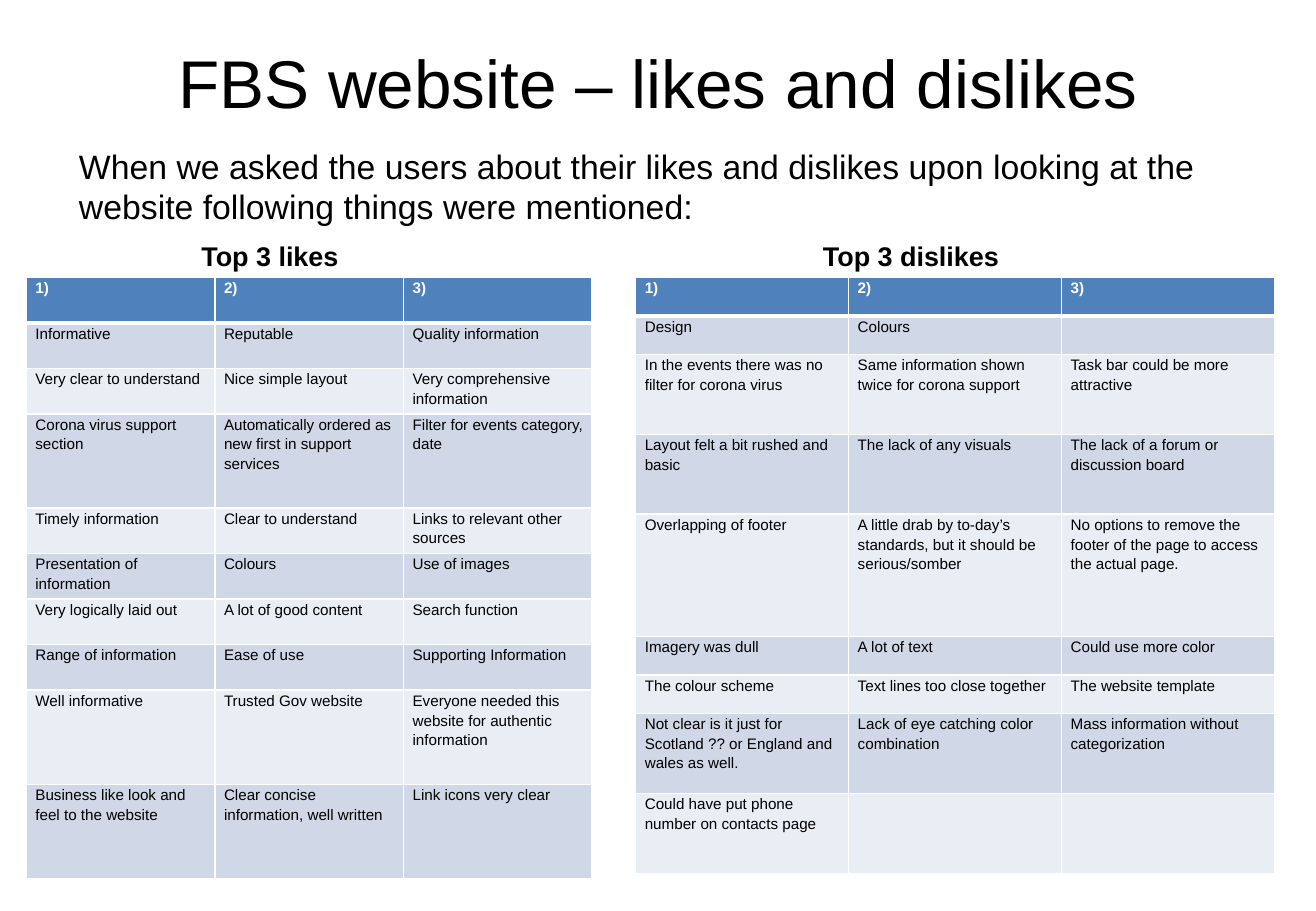
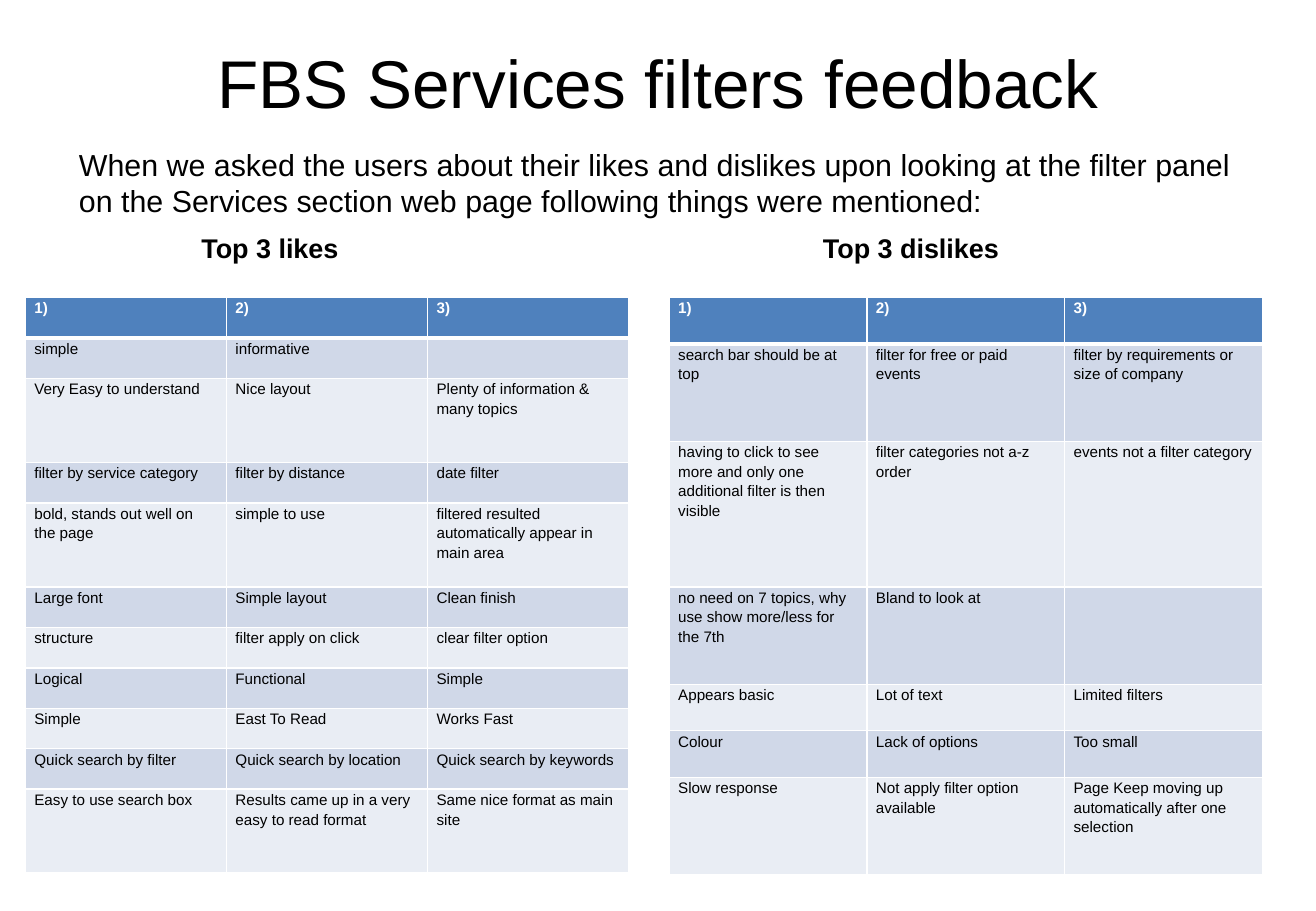
from dataclasses import dataclass

from lxml.etree import SubElement
from pptx import Presentation
from pptx.dml.color import RGBColor
from pptx.enum.text import MSO_ANCHOR, PP_ALIGN
from pptx.oxml.ns import qn
from pptx.slide import Slide
from pptx.table import _Cell
from pptx.text.text import TextFrame, _Paragraph
from pptx.util import Emu, Pt

PX = 7620


@dataclass(frozen=True)
class Theme:
    font: str = "Arial"
    ink: str = "000000"
    paper: str = "FFFFFF"
    header: str = "4F81BD"
    bands: tuple[str, str] = ("D0D8E8", "E9EDF4")
    title_size: int = 40
    heading_size: int = 16
    cell_size: int = 9
    cell_spacing: float = 1.15
    border: int = 1
    header_border: int = 3


@dataclass(frozen=True)
class Opinions:
    left: int
    top: int
    width: int
    heights: list[int]
    rows: list[tuple[str, str, str]]


@dataclass(frozen=True)
class Feedback:
    title: str
    intro: str
    intro_size: int
    heading_top: int
    likes: Opinions
    dislikes: Opinions


THEME = Theme()
HEADER_ROW = ("1)", "2)", "3)")
HEADINGS = (("Top 3 likes", 199), ("Top 3 dislikes", 813))


def px(length: int) -> Emu:
    return Emu(length * PX)


def add_run(paragraph: _Paragraph, text: str, size: int, color: str = THEME.ink, bold: bool = False) -> None:
    run = paragraph.add_run()
    run.text = text
    run.font.name = THEME.font
    run.font.size = Pt(size)
    run.font.bold = bold
    run.font.color.rgb = RGBColor.from_string(color)


def add_text_area(
    slide: Slide, left: int, top: int, width: int, height: int, inset_x: int = 0, inset_y: int = 0
) -> TextFrame:
    frame = slide.shapes.add_textbox(px(left), px(top), px(width), px(height)).text_frame
    frame.word_wrap = True
    frame.vertical_anchor = MSO_ANCHOR.TOP
    frame.margin_left = frame.margin_right = px(inset_x)
    frame.margin_top = frame.margin_bottom = px(inset_y)
    return frame


def add_border(cell: _Cell, position: int, side: str, points: int) -> None:
    properties = cell._tc.get_or_add_tcPr()
    line = SubElement(properties, qn(f"a:ln{side}"), w=str(Pt(points)))
    fill = SubElement(line, qn("a:solidFill"))
    SubElement(fill, qn("a:srgbClr"), val=THEME.paper)
    properties.insert(position, line)


def fill_cell(cell: _Cell, text: str, row: int) -> None:
    is_header = row == 0
    cell.margin_left = cell.margin_right = px(9)
    cell.margin_top = cell.margin_bottom = 0
    cell.fill.solid()
    cell.fill.fore_color.rgb = RGBColor.from_string(
        THEME.header if is_header else THEME.bands[(row - 1) % 2]
    )
    for position, side in enumerate("LRTB"):
        thick = (is_header and side == "B") or (row == 1 and side == "T")
        add_border(cell, position, side, THEME.header_border if thick else THEME.border)
    if text:
        paragraph = cell.text_frame.paragraphs[0]
        paragraph.line_spacing = THEME.cell_spacing
        add_run(paragraph, text, THEME.cell_size, THEME.paper if is_header else THEME.ink, is_header)


def add_opinions(slide: Slide, opinions: Opinions) -> None:
    rows = [HEADER_ROW, *opinions.rows]
    table = slide.shapes.add_table(
        len(rows), len(HEADER_ROW), px(opinions.left), px(opinions.top),
        px(opinions.width), px(sum(opinions.heights)),
    ).table
    for column in table.columns:
        column.width = Emu(px(opinions.width) // len(HEADER_ROW))
    for row, (height, texts) in enumerate(zip(opinions.heights, rows)):
        table.rows[row].height = px(height)
        for column, text in enumerate(texts):
            fill_cell(table.cell(row, column), text, row)


def add_feedback(deck: Presentation, feedback: Feedback) -> None:
    slide = deck.slides.add_slide(deck.slide_layouts[6])
    title = add_text_area(slide, 65, 36, 1170, 150, 12, 5).paragraphs[0]
    title.alignment = PP_ALIGN.CENTER
    add_run(title, feedback.title, THEME.title_size)

    intro = add_text_area(slide, 65, 138, 1170, 90, 13, 6).paragraphs[0]
    add_run(intro, feedback.intro, feedback.intro_size)

    for heading, left in HEADINGS:
        paragraph = add_text_area(slide, left, feedback.heading_top, 240, 32).paragraphs[0]
        add_run(paragraph, heading, THEME.heading_size, bold=True)
    for opinions in (feedback.likes, feedback.dislikes):
        add_opinions(slide, opinions)


WEBSITE = Feedback(
    "FBS website – likes and dislikes",
    "When we asked the users about their likes and dislikes upon looking at the website "
    "following things were mentioned:",
    20,
    237,
    Opinions(26, 274, 559, [45, 45, 45, 93, 45, 45, 45, 45, 93, 93], [
        ("Informative", "Reputable", "Quality information"),
        ("Very clear to understand", "Nice simple layout", "Very comprehensive information"),
        ("Corona virus support section", "Automatically ordered as new first in support services",
         "Filter for events category, date"),
        ("Timely information", "Clear to understand", "Links to relevant other sources"),
        ("Presentation of information", "Colours", "Use of images"),
        ("Very logically laid out", "A lot of good content", "Search function"),
        ("Range of information", "Ease of use", "Supporting Information"),
        ("Well informative", "Trusted Gov website",
         "Everyone needed this website for authentic information"),
        ("Business like look and feel to the website", "Clear concise information, well written",
         "Link icons very clear"),
    ]),
    Opinions(628, 274, 631, [38, 38, 79, 79, 121, 38, 38, 79, 79], [
        ("Design", "Colours", ""),
        ("In the events there was no filter for corona virus",
         "Same information shown twice for corona support", "Task bar could be more attractive"),
        ("Layout felt a bit rushed and basic", "The lack of any visuals",
         "The lack of a forum or discussion board"),
        ("Overlapping of footer",
         "A little drab by to-day’s standards, but it should be serious/somber",
         "No options to remove the footer of the page to access the actual page."),
        ("Imagery was dull", "A lot of text", "Could use more color"),
        ("The colour scheme", "Text lines too close together", "The website template"),
        ("Not clear is it just for Scotland ?? or England and wales as well.",
         "Lack of eye catching color combination", "Mass information without categorization"),
        ("Could have put phone number on contacts page", "", ""),
    ]),
)

FILTERS = Feedback(
    "FBS Services filters feedback",
    "When we asked the users about their likes and dislikes upon looking at the filter panel "
    "on the Services section web page following things were mentioned:",
    18,
    229,
    Opinions(25, 294, 596, [40, 40, 83, 40, 83, 40, 40, 40, 40, 40, 83], [
        ("simple", "informative", ""),
        ("Very Easy to understand", "Nice layout", "Plenty of information & many topics"),
        ("filter by service category", "filter by distance", "date filter"),
        ("bold, stands out well on the page", "simple to use",
         "filtered resulted automatically appear in main area"),
        ("Large font", "Simple layout", "Clean finish"),
        ("structure", "filter apply on click", "clear filter option"),
        ("Logical", "Functional", "Simple"),
        ("Simple", "East To Read", "Works Fast"),
        ("Quick search by filter", "Quick search by location", "Quick search by keywords"),
        ("Easy to use search box", "Results came up in a very easy to read format",
         "Same nice format as main site"),
    ]),
    Opinions(661, 294, 586, [46, 96, 144, 96, 46, 46, 96], [
        ("search bar should be at top", "filter for free or paid events",
         "filter by requirements or size of company"),
        ("having to click to see more and only one additional filter is then visible",
         "filter categories not a-z order", "events not a filter category"),
        ("no need on 7 topics, why use show more/less for the 7th", "Bland to look at", ""),
        ("Appears basic", "Lot of text", "Limited filters"),
        ("Colour", "Lack of options", "Too small"),
        ("Slow response", "Not apply filter option available",
         "Page Keep moving up automatically after one selection"),
    ]),
)


def main() -> None:
    deck = Presentation()
    deck.slide_width, deck.slide_height = px(1300), px(900)
    for feedback in (WEBSITE, FILTERS):
        add_feedback(deck, feedback)
    deck.save("out.pptx")


if __name__ == "__main__":
    main()
